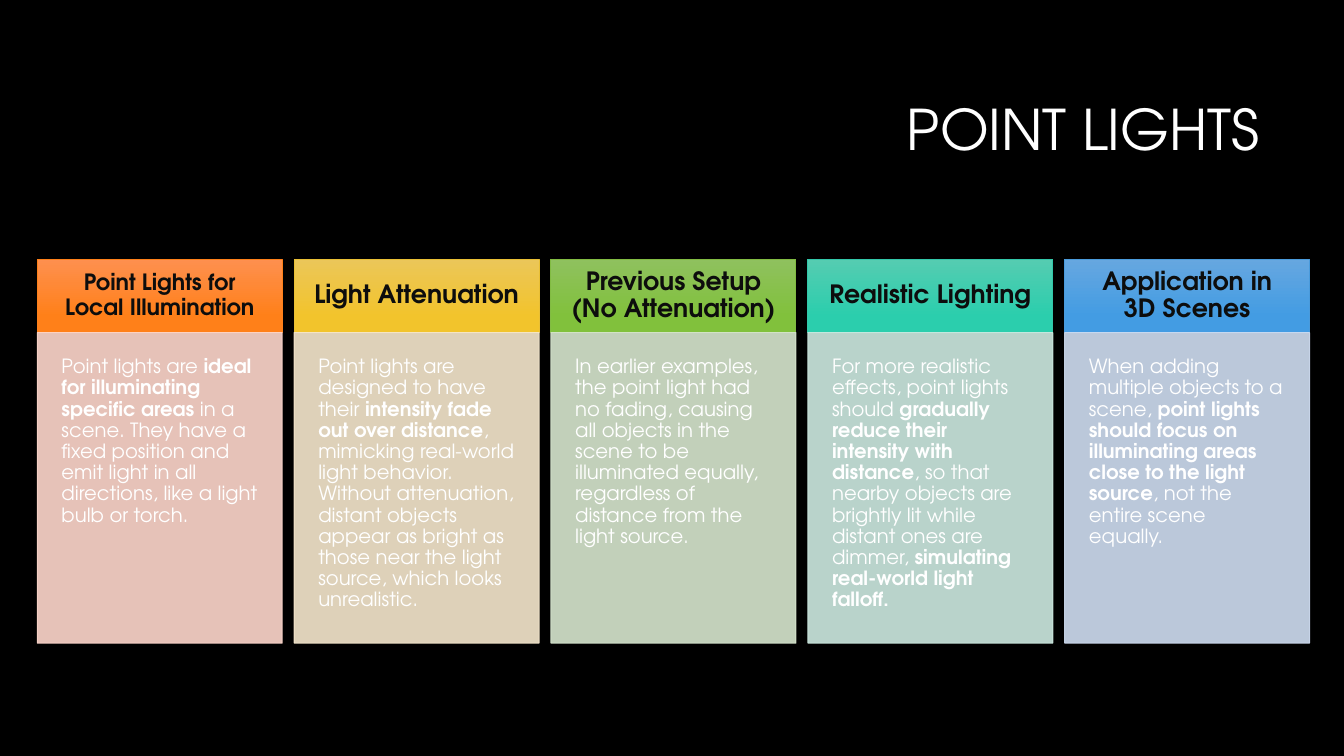
from dataclasses import dataclass

from lxml import etree
from pptx import Presentation
from pptx.dml.color import RGBColor
from pptx.enum import shapes, text
from pptx.oxml import ns
from pptx.util import Inches, Pt


@dataclass(frozen=True)
class Theme:
    font: str = "TeX Gyre Adventor"
    background: str = "000000"
    light: str = "FFFFFF"
    dark: str = "0D0D0D"
    title_size: int = 40
    header_size: int = 18
    small_header_size: int = 16
    body_size: int = 14
    line_width: float = 0.75
    line_spacing: float = 0.9
    gradient_end: float = 0.78
    panel_alpha: int = 90
    columns: tuple = (
        ("FE904F", "FF8019", "FE801A", "FFD8CD"),
        ("EBC659", "F2C42C", "E9BF35", "F7E8CE"),
        ("8FC15E", "81C13C", "81BB42", "D8E7CF"),
        ("55CCB1", "2BCEAD", "32C7A9", "CEEBE2"),
        ("66A7E0", "439CE3", "4A9BDC", "D0DEF2"),
    )


THEME = Theme()

CARDS = (
    ("Point Lights for Local Illumination", THEME.small_header_size,
     "Point lights are **ideal for illuminating specific areas **in a scene. "
     "They have a fixed position and emit light in all directions, "
     "like a light bulb or torch."),
    ("Light Attenuation", THEME.header_size,
     "Point lights are designed to have their **intensity fade out over distance**, "
     "mimicking real-world light behavior. Without attenuation, distant objects "
     "appear as bright as those near the light source, which looks unrealistic."),
    ("Previous Setup (No Attenuation)", THEME.header_size,
     "In earlier examples, the point light had no fading, causing all objects in "
     "the scene to be illuminated equally, regardless of distance from the light source."),
    ("Realistic Lighting", THEME.header_size,
     "For more realistic effects, point lights should **gradually reduce their "
     "intensity with distance**, so that nearby objects are brightly lit while "
     "distant ones are dimmer, **simulating real-world light falloff.**"),
    ("Application in 3D Scenes", THEME.header_size,
     "When adding multiple objects to a scene, **point lights should focus on "
     "illuminating areas close to the light source**, not the entire scene equally."),
)


def rgb(value):
    return RGBColor.from_string(value)


def write(sp, content, size, color=THEME.light, align=text.PP_ALIGN.LEFT,
          anchor=text.MSO_ANCHOR.TOP, bold=False, inset=None):
    tf = sp.text_frame
    tf.word_wrap = True
    tf.auto_size = text.MSO_AUTO_SIZE.NONE
    tf.vertical_anchor = anchor
    if inset is not None:
        tf.margin_left = tf.margin_right = Inches(inset)
        tf.margin_top = tf.margin_bottom = Inches(inset)
    p = tf.paragraphs[0]
    p.alignment = align
    p.line_spacing = THEME.line_spacing
    for i, part in enumerate(content.split("**")):
        if part:
            r = p.add_run()
            r.text = part
            r.font.name = THEME.font
            r.font.size = Pt(size)
            r.font.bold = bold or i % 2 == 1
            r.font.color.rgb = rgb(color)


def add_box(s, left, top, width, height, line):
    sp = s.shapes.add_shape(shapes.MSO_SHAPE.RECTANGLE, Inches(left), Inches(top),
                            Inches(width), Inches(height))
    sp.shadow.inherit = False
    sp.line.color.rgb = rgb(line)
    sp.line.width = Pt(THEME.line_width)
    return sp


def add_header(s, left, top, width, height, content, size, colors):
    start, end, line = colors
    sp = add_box(s, left, top, width, height, line)
    sp.fill.gradient()
    sp.fill.gradient_angle = 270
    for stop, color, position in zip(sp.fill.gradient_stops, (start, end),
                                     (0, THEME.gradient_end)):
        stop.color.rgb = rgb(color)
        stop.position = position
    write(sp, content, size, color=THEME.dark, align=text.PP_ALIGN.CENTER,
          anchor=text.MSO_ANCHOR.MIDDLE, bold=True, inset=0.19)


def add_panel(s, left, top, width, height, content, color):
    sp = add_box(s, left, top, width, height, color)
    sp.fill.solid()
    sp.fill.fore_color.rgb = rgb(color)
    for clr in sp._element.spPr.iter(ns.qn("a:srgbClr")):
        etree.SubElement(clr, ns.qn("a:alpha"), val=str(THEME.panel_alpha * 1000))
    write(sp, content, THEME.body_size, inset=0.24)


def add_title(s, left, top, width, height):
    sp = s.shapes.title
    sp.left, sp.top = Inches(left), Inches(top)
    sp.width, sp.height = Inches(width), Inches(height)
    write(sp, "POINT LIGHTS", THEME.title_size, align=text.PP_ALIGN.RIGHT,
          anchor=text.MSO_ANCHOR.MIDDLE)


def add_cards(s, left, top, width, height, card_width=2.43, header_height=0.73):
    pitch = (width - card_width) / (len(CARDS) - 1)
    for i, ((header, size, body), colors) in enumerate(zip(CARDS, THEME.columns)):
        x = left + i * pitch
        add_header(s, x, top, card_width, header_height, header, size, colors[:3])
        add_panel(s, x, top + header_height, card_width, height - header_height,
                  body, colors[3])


def main():
    prs = Presentation()
    prs.slide_width, prs.slide_height = Inches(13.33), Inches(7.5)
    s = prs.slides.add_slide(prs.slide_layouts[5])
    s.background.fill.solid()
    s.background.fill.fore_color.rgb = rgb(THEME.background)
    add_title(s, 3.17, 0.84, 9.42, 0.94)
    add_cards(s, 0.37, 2.57, 12.62, 3.81)
    prs.save("out.pptx")


if __name__ == "__main__":
    main()
